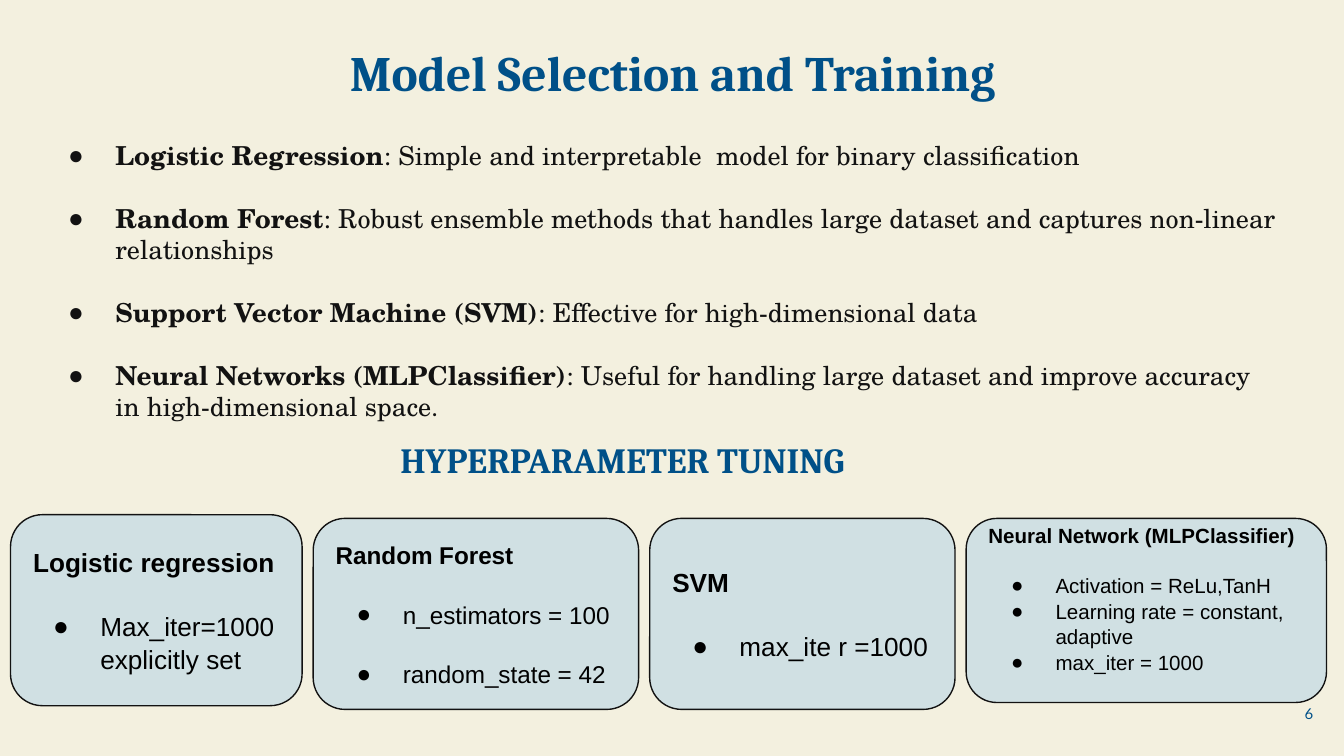
from lxml import etree
from pptx import Presentation
from pptx import util as u
from pptx.dml.color import RGBColor
from pptx.enum import shapes, text
from pptx.oxml import ns

# Content
TITLE = "Model Selection and Training"
MODELS = [
    ("Logistic Regression", ": Simple and interpretable  model for binary classification", ""),
    ("Random Forest", ": Robust ensemble methods that handles large dataset and captures "
     "non-linear relationships", ""),
    ("Support Vector Machine (SVM)", ": Effective for high-dimensional data", ""),
    ("Neural Networks (MLPClassifier)", ": Useful for handling large dataset and improve "
     "accuracy in high-dimensional space", "."),
]
SUBHEAD = "HYPERPARAMETER TUNING"
PAGE_NUMBER = "6"
# Sizes in cm, type in points; "gap" is the number of lines between settings
CARDS = [
    dict(head="Logistic regression", items=["Max_iter=1000 explicitly set"],
         top=9.73, width=5.51, height=3.61, size=14, gap=0, bottom=0.25),
    dict(head="Random Forest", items=["n_estimators = 100", "random_state = 42"],
         top=9.8, width=6.15, height=3.61, size=13, gap=1, bottom=0.25),
    dict(head="SVM", items=["max_ite r =1000"],
         top=9.8, width=5.77, height=3.61, size=14, gap=0, bottom=0.25),
    dict(head="Neural Network (MLPClassifier)",
         items=["Activation = ReLu,TanH", "Learning rate = constant, adaptive", "max_iter = 1000"],
         top=9.8, width=6.81, height=3.48, size=11, gap=0, bottom=0.71),
]
CARD_LEFT, CARD_GAP = 0.2, 0.21

THEME = dict(
    back="F3F0DF", accent="005088", ink="121212", card="D0E0E3", card_ink="000000",
    head_font="Cambria", body_font="TeX Gyre Schola", card_font="Arial", small_font="Lato",
    title=26.5, subhead=19, body=14, stop=13, number=8,
    line=1.2, card_spacing=1.04, inset=0.25, indent=1.27,
)


def color(name):
    return RGBColor.from_string(THEME[name])


def add_span(para, words, font, size, ink, bold=False):
    span = para.add_run()
    span.text = words
    span.font.name, span.font.size, span.font.bold = THEME[font], u.Pt(size), bold
    span.font.color.rgb = color(ink)


def place(box, left, top, width, height):
    box.left, box.top, box.width, box.height = map(u.Cm, (left, top, width, height))


def set_frame(box, anchor, bottom=THEME["inset"]):
    frame = box.text_frame
    frame.word_wrap, frame.auto_size = True, text.MSO_AUTO_SIZE.NONE
    frame.vertical_anchor = anchor
    frame.margin_left = frame.margin_right = frame.margin_top = u.Cm(THEME["inset"])
    frame.margin_bottom = u.Cm(bottom)
    return frame


def set_para(para, align=text.PP_ALIGN.LEFT, before=0, spacing=1.0):
    para.alignment, para.line_spacing = align, spacing
    para.space_before, para.space_after = u.Pt(before), u.Pt(0)


def set_bullet(para, size, ink):
    props = para._p.get_or_add_pPr()
    hang = 0.64 + 0.018 * size
    props.set("marL", str(u.Cm(THEME["indent"])))
    props.set("indent", str(-u.Cm(hang)))
    tint = etree.SubElement(props, ns.qn("a:buClr"))
    etree.SubElement(tint, ns.qn("a:srgbClr"), val=THEME[ink])
    etree.SubElement(props, ns.qn("a:buFont"), typeface="Arial")
    etree.SubElement(props, ns.qn("a:buChar"), char="●")


def add_line(page, words, area, align, anchor, font, size, bold):
    box = page.shapes.add_textbox(*map(u.Cm, area))
    para = set_frame(box, anchor).paragraphs[0]
    set_para(para, align)
    add_span(para, words, font, size, "accent", bold)


def fill_models(box):
    frame = set_frame(box, text.MSO_ANCHOR.TOP)
    size = THEME["body"]
    for i, (name, note, stop) in enumerate(MODELS):
        para = frame.add_paragraph() if i else frame.paragraphs[0]
        set_para(para, before=size * THEME["line"] if i else 0)
        set_bullet(para, size, "ink")
        add_span(para, name, "body_font", size, "ink", True)
        add_span(para, note, "body_font", size, "ink")
        if stop:
            add_span(para, stop, "small_font", THEME["stop"], "ink")


def add_card(page, card, left):
    area = (left, card["top"], card["width"], card["height"])
    box = page.shapes.add_shape(shapes.MSO_SHAPE.ROUNDED_RECTANGLE, *map(u.Cm, area))
    box.shadow.inherit = False
    box.fill.solid()
    box.fill.fore_color.rgb = color("card")
    box.line.color.rgb = color("ink")
    box.line.width = u.Pt(0.75)

    frame = set_frame(box, text.MSO_ANCHOR.MIDDLE, card["bottom"])
    size = card["size"]
    blank = size * THEME["line"]
    para = frame.paragraphs[0]
    set_para(para, spacing=THEME["card_spacing"])
    add_span(para, card["head"], "card_font", size, "card_ink", True)
    for i, item in enumerate(card["items"]):
        para = frame.add_paragraph()
        set_para(para, before=blank * (card["gap"] if i else 1), spacing=THEME["card_spacing"])
        set_bullet(para, size, "card_ink")
        add_span(para, item, "card_font", size, "card_ink")


def main():
    deck = Presentation()
    deck.slide_width, deck.slide_height = u.Cm(25.4), u.Cm(14.29)
    page = deck.slides.add_slide(deck.slide_layouts[1])
    page.background.fill.solid()
    page.background.fill.fore_color.rgb = color("back")
    title, body = page.placeholders

    # Title
    place(title, 2.72, 0.53, 19.99, 1.65)
    para = set_frame(title, text.MSO_ANCHOR.MIDDLE).paragraphs[0]
    set_para(para, text.PP_ALIGN.CENTER)
    add_span(para, TITLE, "head_font", THEME["title"], "accent", True)

    # Model list
    place(body, 0.66, 2.39, 23.75, 5.61)
    fill_models(body)

    # Subheading and page number
    add_line(page, SUBHEAD, (4.93, 8.03, 13.67, 1.19), text.PP_ALIGN.CENTER,
             text.MSO_ANCHOR.TOP, "head_font", THEME["subhead"], True)
    add_line(page, PAGE_NUMBER, (23.55, 12.95, 1.52, 1.09), text.PP_ALIGN.RIGHT,
             text.MSO_ANCHOR.MIDDLE, "small_font", THEME["number"], False)

    # Tuning cards, left to right
    left = CARD_LEFT
    for card in CARDS:
        add_card(page, card, left)
        left += card["width"] + CARD_GAP

    deck.save("out.pptx")


if __name__ == "__main__":
    main()
